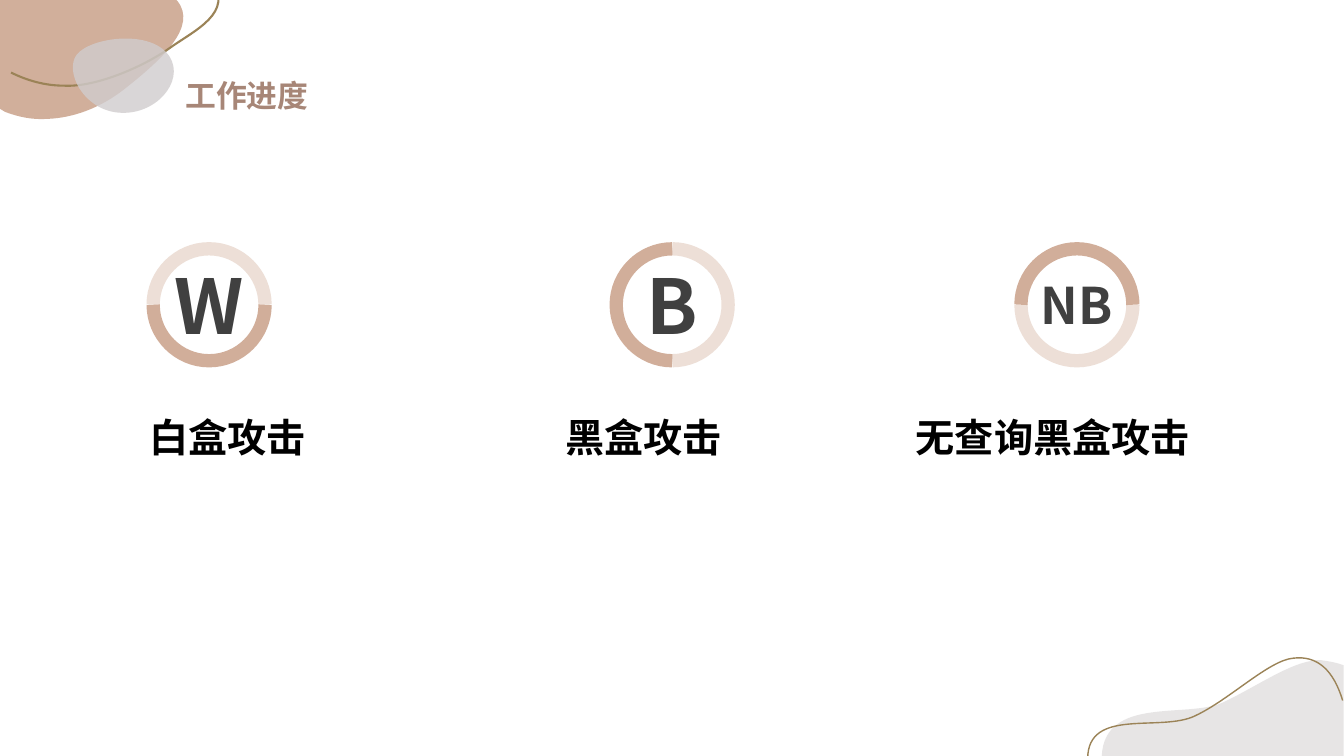
from math import cos, radians, sin

from lxml import etree
from pptx import Presentation
from pptx.dml.color import RGBColor
from pptx.enum.text import MSO_ANCHOR, MSO_AUTO_SIZE, PP_ALIGN
from pptx.oxml.ns import qn
from pptx.util import Cm, Pt

TOP, MIDDLE = MSO_ANCHOR.TOP, MSO_ANCHOR.MIDDLE
LEFT, CENTER = PP_ALIGN.LEFT, PP_ALIGN.CENTER
NO_AUTOSIZE = MSO_AUTO_SIZE.NONE

FONT = "Noto Sans CJK SC"
COLORS = {
    "tan": "D1AE9A", "pale": "EDDFD7", "grey": "D0CCCD", "gold": "9B8357",
    "title": "A78677", "letter": "404040", "label": "000000",
}
UNIT = Cm(2.54)

TAN_BLOB = (0, -0.01, 1.81, 1.2), [
    (0.47, 1.18), (0.73, 1.17, 1, 1.07, 1.24, 0.88),
    (1.62, 0.58, 1.96, 0.26, 1.76, 0.01), (1.74, -0.01), (0, -0.01),
    (0, 1.08), (0.05, 1.11), (0.18, 1.16, 0.32, 1.19, 0.47, 1.18)]
TOP_THREAD = (0.14, -0.28, 2, 1.17), [
    (0.11, 0.72), (0.27, 0.8, 0.45, 0.85, 0.63, 0.85),
    (0.96, 0.87, 1.44, 0.65, 1.68, 0.48), (1.93, 0.3, 2.33, 0.13, 2.1, -0.2)]
PEBBLE = (0.72, 0.38, 1, 0.74), [
    (0.74, 0.58), (0.66, 0.77, 0.87, 1.13, 1.24, 1.12),
    (1.6, 1.11, 1.86, 0.75, 1.65, 0.52), (1.43, 0.28, 0.81, 0.39, 0.74, 0.58)]
HILL = (0.14, 0.05, 2.4, 0.95), [
    (2.27, 0.05), (2.29, 0.05, 2.3, 0.05, 2.32, 0.05),
    (2.39, 0.06, 2.46, 0.07, 2.54, 0.1), (2.54, 1), (0.14, 1),
    (0.17, 0.4, 0.99, 0.63, 1.34, 0.47), (1.68, 0.31, 2.01, 0.07, 2.27, 0.05)]
BOTTOM_THREAD = (0, 0.02, 2.52, 1), [
    (0, 1.03), (0, 0.51, 0.73, 0.77, 1.07, 0.6),
    (1.41, 0.44, 1.8, 0.05, 2.04, 0.03), (2.28, 0, 2.44, 0.15, 2.53, 0.45)]
HALF_RING = (0, 0, 2, 1), [
    (0, 1), (0, 0.45, 0.45, 0, 1, 0), (1.55, 0, 2, 0.45, 2, 1)]

ITEMS = [
    ("W", 54, 0, 5.27, "白盒攻击", 3.51, 6.65),
    ("B", 54, 90, 16.94, "黑盒攻击", 14, 6.65),
    ("NB", 36, 180, 27.14, "无查询黑盒攻击", 22.83, 8.64),
]


def add_step(geometry, tag, points):
    """Append one drawing step with its points to a geometry."""
    step = etree.SubElement(geometry, qn(tag))
    for x, y in points:
        pt = etree.SubElement(step, qn("a:pt"))
        pt.set("x", str(x))
        pt.set("y", str(y))


def add_outline(slide, left, top, figure, closed, unit=UNIT):
    """Add a freeform of lines and cubic curves, measured from left and top."""
    (x, y, width, height), outline = figure
    builder = slide.shapes.build_freeform(0, 0)
    builder.add_line_segments([(unit, unit)], close=closed)
    sp = builder.convert_to_shape()
    sp.left, sp.top = round(left + x * unit), round(top + y * unit)
    sp.width, sp.height = round(width * unit), round(height * unit)
    sp.shadow.inherit = False
    geometry = sp._element.find(".//" + qn("a:path"))
    for step in list(geometry):
        geometry.remove(step)
    geometry.set("w", str(sp.width))
    geometry.set("h", str(sp.height))
    for i, segment in enumerate(outline):
        points = [(round((px - x) * unit), round((py - y) * unit))
                  for px, py in zip(segment[::2], segment[1::2])]
        tag = "a:moveTo" if i == 0 else "a:lnTo"
        add_step(geometry, "a:cubicBezTo" if len(points) == 3 else tag, points)
    if closed:
        etree.SubElement(geometry, qn("a:close"))
    return sp


def add_blob(slide, left, top, figure, color, opacity):
    """Add a filled, partly transparent blob."""
    sp = add_outline(slide, left, top, figure, True)
    sp.line.fill.background()
    sp.fill.solid()
    sp.fill.fore_color.rgb = RGBColor.from_string(COLORS[color])
    clr = sp._element.spPr.find(".//" + qn("a:srgbClr"))
    etree.SubElement(clr, qn("a:alpha")).set("val", str(opacity * 1000))


def add_stroke(slide, left, top, figure, color, width, unit=UNIT):
    """Add an open, unfilled curve."""
    sp = add_outline(slide, left, top, figure, False, unit)
    sp.fill.background()
    sp.line.color.rgb = RGBColor.from_string(COLORS[color])
    sp.line.width = Pt(width)
    return sp


def set_text(sp, text, size, color, align, anchor):
    """Write one bold line of text into a shape."""
    tf = sp.text_frame
    tf.text = text
    tf.word_wrap = True
    tf.auto_size = NO_AUTOSIZE
    tf.vertical_anchor = anchor
    p = tf.paragraphs[0]
    p.alignment = align
    r = p.runs[0]
    r.font.name = FONT
    r.font.size = Pt(size)
    r.font.bold = True
    r.font.color.rgb = RGBColor.from_string(COLORS[color])
    etree.SubElement(r.font._element, qn("a:ea")).set("typeface", FONT)


def add_top_corner(slide, left, top):
    """Decorate the top left corner."""
    add_blob(slide, left, top, TAN_BLOB, "tan", 98)
    add_stroke(slide, left, top, TOP_THREAD, "gold", 1.5)
    add_blob(slide, left, top, PEBBLE, "grey", 80)


def add_bottom_corner(slide, left, top):
    """Decorate the bottom right corner."""
    add_blob(slide, left, top, HILL, "grey", 50)
    add_stroke(slide, left, top, BOTTOM_THREAD, "gold", 1)


def set_title(slide, left, top, width, height):
    """Place and format the title placeholder."""
    sp = slide.shapes.title
    sp.left, sp.top, sp.width, sp.height = left, top, width, height
    set_text(sp, "工作进度", 22, "title", LEFT, TOP)
    tf = sp.text_frame
    tf.margin_left = tf.margin_top = tf.margin_right = tf.margin_bottom = 0
    tf.paragraphs[0].line_spacing = 1.2


def add_ring(slide, left, top, radius, letter, letter_size, pale_angle):
    """Add a ring of two half circles around a letter."""
    for color, angle in (("pale", pale_angle), ("tan", pale_angle + 180)):
        dx = radius / 2 * sin(radians(angle))
        dy = radius / 2 * (1 - cos(radians(angle)))
        if angle % 180:
            dy = radius / 2
        sp = add_stroke(slide, left + dx, top + dy, HALF_RING, color, 9.5, radius)
        sp.rotation = angle
    inset = Cm(0.16)
    side = 2 * (radius - inset)
    tb = slide.shapes.add_textbox(left + inset, top + inset, side, side)
    set_text(tb, letter, letter_size, "letter", CENTER, MIDDLE)


def add_label(slide, left, top, width, height, text):
    """Add the name of an attack."""
    tb = slide.shapes.add_textbox(left, top, width, height)
    set_text(tb, text, 28, "label", LEFT, TOP)


def main():
    """Build the slide and save it."""
    prs = Presentation()
    prs.slide_width, prs.slide_height = Cm(33.87), Cm(19.05)
    slide = prs.slides.add_slide(prs.slide_layouts[5])
    add_top_corner(slide, 0, 0)
    add_bottom_corner(slide, Cm(27.41), Cm(16.51))
    set_title(slide, Cm(4.67), Cm(1.75), Cm(5.72), Cm(1.12))
    radius = Cm(1.41)
    for letter, size, angle, center, name, left, width in ITEMS:
        add_ring(slide, Cm(center) - radius, Cm(7.68) - radius, radius,
                 letter, size, angle)
        add_label(slide, Cm(left), Cm(10.29), Cm(width), Cm(1.45), name)
    prs.save("out.pptx")


if __name__ == "__main__":
    main()
